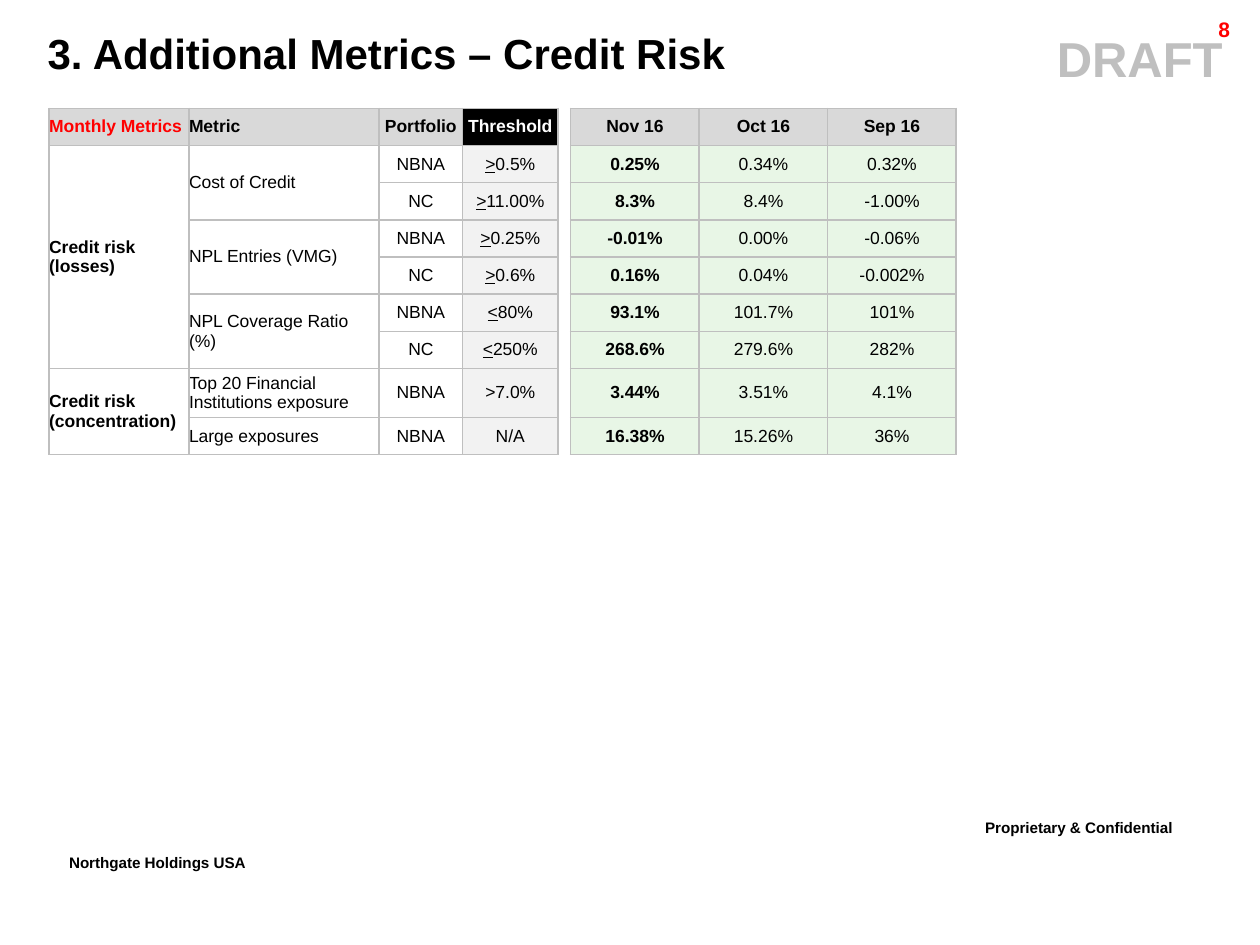
import pptx
import pptx.dml.color
import pptx.enum.text
import pptx.oxml
import pptx.oxml.ns
import pptx.util

Inches = pptx.util.Inches
Pt = pptx.util.Pt
ALIGN = pptx.enum.text.PP_ALIGN

BLACK, WHITE, RED = "000000", "FFFFFF", "FF0000"
BORDER, HEADER, THRESHOLD, WITHIN_LIMIT = "BFBFBF", "D9D9D9", "F2F2F2", "E8F6E6"

COLUMN_WIDTHS = [1.11, 1.51, 0.66, 0.76, 0.1, 1.02, 1.02, 1.02]
GAP_COLUMN = 4
TABLE_HEIGHT, TALL_ROW, TALL_HEIGHT = 2.75, 7, 0.39

# An underlined sign is marked with a leading underscore.
ROWS = [
    ["Monthly Metrics", "Metric", "Portfolio", "Threshold", "", "Nov 16", "Oct 16", "Sep 16"],
    ["Credit risk (losses)", "Cost of Credit", "NBNA", "_>0.5%", "", "0.25%", "0.34%", "0.32%"],
    ["", "", "NC", "_>11.00%", "", "8.3%", "8.4%", "-1.00%"],
    ["", "NPL Entries (VMG)", "NBNA", "_>0.25%", "", "-0.01%", "0.00%", "-0.06%"],
    ["", "", "NC", "_>0.6%", "", "0.16%", "0.04%", "-0.002%"],
    ["", "NPL Coverage Ratio (%)", "NBNA", "_<80%", "", "93.1%", "101.7%", "101%"],
    ["", "", "NC", "_<250%", "", "268.6%", "279.6%", "282%"],
    ["Credit risk (concentration)", "Top 20 Financial Institutions exposure", "NBNA", ">7.0%", "",
     "3.44%", "3.51%", "4.1%"],
    ["", "Large exposures", "NBNA", "N/A", "", "16.38%", "15.26%", "36%"],
]
# First row, last row, column
MERGES = [(1, 6, 0), (7, 8, 0), (1, 2, 1), (3, 4, 1), (5, 6, 1)]


def rgb(hex_color):
    return pptx.dml.color.RGBColor.from_string(hex_color)


def style_font(font, size, color, bold):
    font.name = "Arial"
    font.size = Pt(size)
    font.bold = bold
    font.color.rgb = rgb(color)


def add_label(slide, text, box, size, color=BLACK, align=ALIGN.LEFT, wrap=True):
    """Add a bold one-line text box and return its paragraph."""
    frame = slide.shapes.add_textbox(*map(Inches, box)).text_frame
    frame.word_wrap = wrap
    paragraph = frame.paragraphs[0]
    paragraph.text = text
    paragraph.alignment = align
    style_font(paragraph.font, size, color, True)
    return paragraph


def add_footer(slide, text, box, wrap):
    """Add a footer set in raised letters."""
    paragraph = add_label(slide, text, box, 15, wrap=wrap)
    paragraph.runs[0].font._element.set("baseline", "30000")


def set_borders(cell, sides):
    """Draw the given sides of a cell and clear the others."""
    properties = cell._tc.get_or_add_tcPr()
    for side in "LRTB":
        paint = f'<a:solidFill><a:srgbClr val="{BORDER}"/></a:solidFill>' if side in sides else "<a:noFill/>"
        properties.append(pptx.oxml.parse_xml(
            f'<a:ln{side} {pptx.oxml.ns.nsdecls("a")} w="12700">{paint}</a:ln{side}>'))


def cell_fill(row, column):
    if column == GAP_COLUMN:
        return None
    if row == 0:
        return BLACK if column == 3 else HEADER
    if column > GAP_COLUMN:
        return WITHIN_LIMIT
    return THRESHOLD if column == 3 else None


def cell_color(row, column):
    return {0: RED, 3: WHITE}.get(column, BLACK) if row == 0 else BLACK


def write_cell(cell, text, row, column):
    cell.margin_left = cell.margin_right = cell.margin_top = cell.margin_bottom = 0
    cell.vertical_anchor = pptx.enum.text.MSO_ANCHOR.MIDDLE
    paragraph = cell.text_frame.paragraphs[0]
    if not text:
        paragraph._p.append(pptx.oxml.parse_xml(
            f'<a:endParaRPr {pptx.oxml.ns.nsdecls("a")} sz="1000"/>'))
        return
    if text.startswith("_"):
        sign = paragraph.add_run()
        sign.text = text[1]
        sign.font.underline = True
        text = text[2:]
    paragraph.add_run().text = text
    paragraph.alignment = ALIGN.LEFT if column < 2 else ALIGN.CENTER
    if row == 0 or column < 3:
        paragraph.space_before = paragraph.space_after = Pt(2)
    style_font(paragraph.font, 10, cell_color(row, column), row == 0 or column in (0, 5))


def add_metrics_table(slide):
    table = slide.shapes.add_table(
        len(ROWS), len(COLUMN_WIDTHS), Inches(0.39), Inches(0.86),
        Inches(sum(COLUMN_WIDTHS)), Inches(TABLE_HEIGHT)).table
    table.first_row = table.horz_banding = False
    for column, width in zip(table.columns, COLUMN_WIDTHS):
        column.width = Inches(width)
    row_height = (TABLE_HEIGHT - TALL_HEIGHT) / (len(ROWS) - 1)
    for row, texts in enumerate(ROWS):
        table.rows[row].height = Inches(TALL_HEIGHT if row == TALL_ROW else row_height)
        for column, text in enumerate(texts):
            cell = table.cell(row, column)
            write_cell(cell, text, row, column)
            set_borders(cell, "LR" if column == GAP_COLUMN else "LRTB")
            fill = cell_fill(row, column)
            if fill:
                cell.fill.solid()
                cell.fill.fore_color.rgb = rgb(fill)
            else:
                cell.fill.background()
    for first, last, column in MERGES:
        table.cell(first, column).merge(table.cell(last, column))


def main():
    presentation = pptx.Presentation()
    presentation.slide_width, presentation.slide_height = Inches(10), Inches(7.5)
    slide = presentation.slides.add_slide(presentation.slide_layouts[6])

    add_footer(slide, "Proprietary & Confidential", (7.72, 6.42, 2.18, 0.35), wrap=True)
    add_footer(slide, "Northgate Holdings USA", (0.45, 6.7, 1.91, 0.35), wrap=False)
    status = add_label(slide, "DRAFT", (1.15, 0.18, 8.79, 0.57), 28, BORDER, ALIGN.CENTER)
    status._p.get_or_add_pPr().set("marL", str(Inches(7)))
    page_number = add_label(slide, "8", (8.91, 0.11, 0.95, 0.24), 12, RED, ALIGN.RIGHT)
    page_number.line_spacing = 0.86
    add_label(slide, "3. Additional Metrics – Credit Risk", (0.28, 0.17, 9.35, 0.5), 24)
    add_metrics_table(slide)

    presentation.save("out.pptx")


if __name__ == "__main__":
    main()
